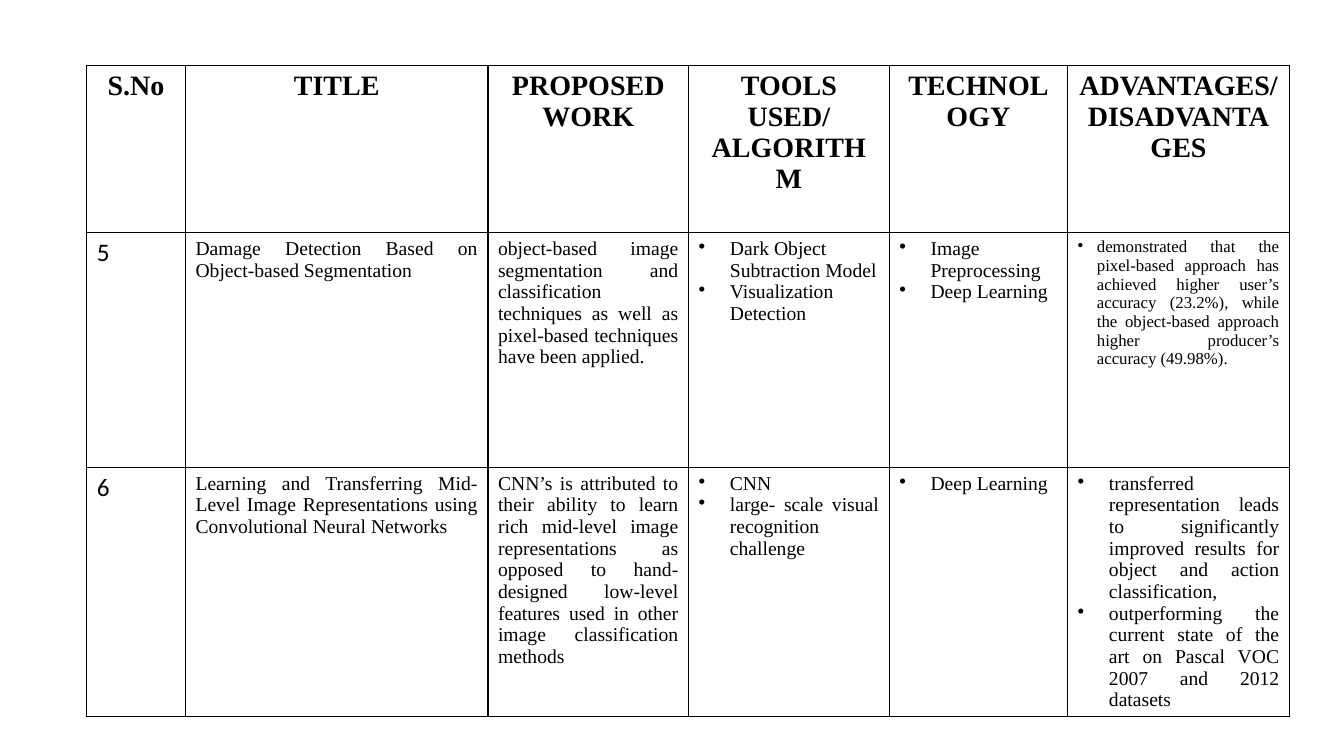
from lxml.etree import SubElement
from pptx import Presentation
from pptx.dml.color import RGBColor
from pptx.enum.text import PP_ALIGN as Align
from pptx.oxml import parse_xml
from pptx.oxml.ns import nsdecls, qn
from pptx.util import Inches, Pt

BLACK = "000000"
SERIF, SANS = "Times New Roman", "Calibri"
LEFT, TOP = 0.86, 0.65
COLUMN_WIDTHS = (0.98, 3, 1.99, 1.99, 1.77, 2.2)
ROW_HEIGHTS = (1.66, 2.33, 2.33)

# Text formats by role
HEADING = dict(size=20, bold=True, align=Align.CENTER)
NUMBER = dict(size=18, font=SANS)
PROSE = dict(align=Align.JUSTIFY)
BULLET = dict(indent=0.31)
JUSTIFIED_BULLET = dict(indent=0.31, align=Align.JUSTIFY)
SMALL_BULLET = dict(indent=0.19, align=Align.JUSTIFY, size=12)

# Each cell is its list of paragraphs; a paper's cell adds its format
HEADINGS = [
    ["S.No"],
    ["TITLE"],
    ["PROPOSED WORK"],
    ["TOOLS USED/", "ALGORITHM"],
    ["TECHNOLOGY"],
    ["ADVANTAGES/ DISADVANTAGES"],
]
PAPERS = [
    [
        (["5"], NUMBER),
        (["Damage Detection Based on Object-based Segmentation "], PROSE),
        (["object-based image segmentation and classification techniques "
          "as well as pixel-based techniques have been applied. "], PROSE),
        (["Dark Object Subtraction Model ", "Visualization Detection"], BULLET),
        (["Image Preprocessing", "Deep Learning"], BULLET),
        (["demonstrated that the pixel-based approach has achieved higher "
          "user’s accuracy (23.2%), while the object-based approach higher "
          "producer’s accuracy (49.98%). "], SMALL_BULLET),
    ],
    [
        (["6"], NUMBER),
        (["Learning and Transferring Mid-Level Image Representations using "
          "Convolutional Neural Networks"], PROSE),
        (["CNN’s is attributed to their ability to learn rich mid-level image "
          "representations as opposed to hand-designed low-level features "
          "used in other image classification methods"], PROSE),
        (["CNN", "large- scale visual recognition challenge"], JUSTIFIED_BULLET),
        (["Deep Learning"], BULLET),
        (["transferred representation leads to significantly improved results "
          "for object and action classification,",
          "outperforming the current state of the art on Pascal VOC 2007 "
          "and 2012 datasets"], JUSTIFIED_BULLET),
    ],
]


def color(value):
    """Turn a hex string into a colour."""
    return RGBColor.from_string(value)


def write(frame, lines, size=14, font=SERIF, bold=False, align=Align.LEFT,
          indent=0):
    """Write one paragraph per line; an indent gives it a hanging bullet."""
    for index, line in enumerate(lines):
        para = frame.add_paragraph() if index else frame.paragraphs[0]
        para.alignment = align
        span = para.add_run()
        span.text = line
        span.font.size, span.font.name, span.font.bold = Pt(size), font, bold
        span.font.color.rgb = color(BLACK)
        if indent:
            properties = para._p.get_or_add_pPr()
            properties.set("marL", str(Inches(indent)))
            properties.set("indent", str(-Inches(indent)))
            SubElement(properties, qn("a:buChar")).set("char", "•")


def outline(cell, width=1):
    """Draw a solid line on all four sides of a cell without fill."""
    cell.fill.background()
    for index, side in enumerate(("lnL", "lnR", "lnT", "lnB")):
        line = parse_xml(
            f'<a:{side} {nsdecls("a")} w="{Pt(width)}"><a:solidFill>'
            f'<a:srgbClr val="{BLACK}"/></a:solidFill></a:{side}>')
        cell._tc.get_or_add_tcPr().insert(index, line)


def add_survey(page, rows):
    """Add the literature survey table to the page."""
    table = page.shapes.add_table(
        len(rows), len(COLUMN_WIDTHS), Inches(LEFT), Inches(TOP),
        Inches(sum(COLUMN_WIDTHS)), Inches(sum(ROW_HEIGHTS))).table
    table.first_row = table.horz_banding = False
    for column, width in zip(table.columns, COLUMN_WIDTHS):
        column.width = Inches(width)
    for row, height, contents in zip(table.rows, ROW_HEIGHTS, rows):
        row.height = Inches(height)
        for cell, (lines, style) in zip(row.cells, contents):
            write(cell.text_frame, lines, **style)
            outline(cell)


deck = Presentation()
deck.slide_width, deck.slide_height = Inches(13.33), Inches(7.5)
page = deck.slides.add_slide(deck.slide_layouts[6])
add_survey(page, [[(lines, HEADING) for lines in HEADINGS], *PAPERS])
deck.save("out.pptx")
